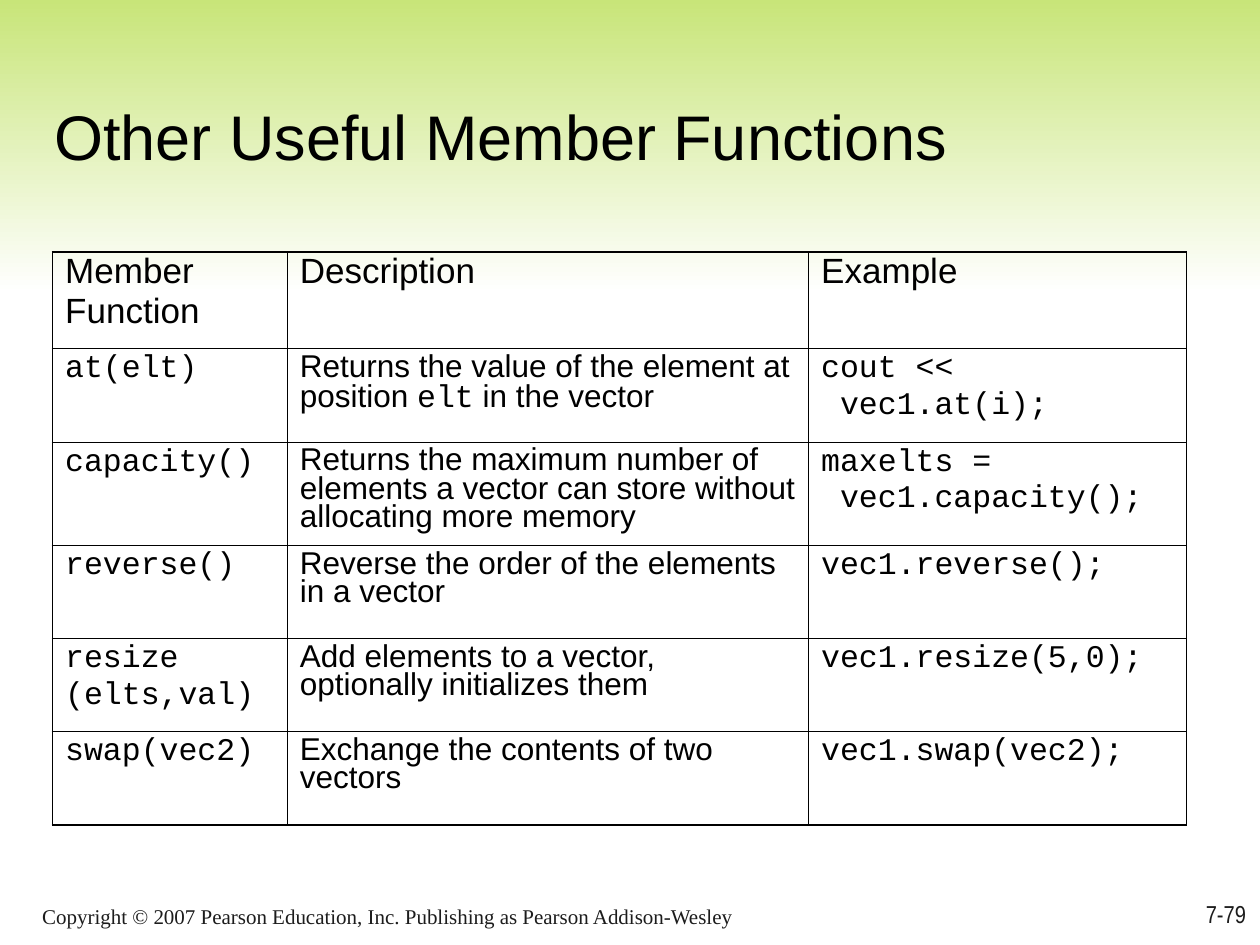
from lxml.etree import SubElement
from pptx import Presentation
from pptx.dml.color import RGBColor
from pptx.enum.shapes import MSO_SHAPE
from pptx.enum.text import MSO_ANCHOR, MSO_AUTO_SIZE, PP_ALIGN
from pptx.oxml.ns import qn
from pptx.util import Cm, Pt

HUES = {"lime": "C8E579", "white": "FFFFFF", "black": "000000", "gray": "1C1C1C"}
SANS, MONO = "Arial", "Courier New"
THIN, THICK = 0.45, 1.08

HEADS = ["Member\nFunction", "Description", "Example"]
# Backticks mark code inside a description
ROWS = [
    ["at(elt)", "Returns the value of the element at position `elt` in the vector",
     "cout <<\n vec1.at(i);"],
    ["capacity()", "Returns the maximum number of elements a vector can store "
     "without allocating more memory", "maxelts =\n vec1.capacity();"],
    ["reverse()", "Reverse the order of the elements in a vector", "vec1.reverse();"],
    ["resize\n(elts,val)", "Add elements to a vector, optionally initializes them",
     "vec1.resize(5,0);"],
    ["swap(vec2)", "Exchange the contents of two vectors", "vec1.swap(vec2);"],
]
WIDTHS = [4.73, 10.51, 7.62]
HEIGHTS = [1.95, 1.88, 2.08, 1.88, 1.88, 1.88]


def tint(hue):
    return RGBColor.from_string(HUES[hue])


def style(run, face, size, hue="black"):
    run.font.name = face
    run.font.size = Pt(size)
    run.font.color.rgb = tint(hue)


def add_band(slide, box):
    band = slide.shapes.add_shape(MSO_SHAPE.RECTANGLE, *map(Cm, box))
    band.shadow.inherit = False
    band.line.fill.background()
    band.fill.gradient()
    band.fill.gradient_angle = 270
    for stop, hue, pos in zip(band.fill.gradient_stops, ("lime", "white"), (0, 1)):
        stop.color.rgb = tint(hue)
        stop.position = pos
    # The band lies behind the title
    slide.shapes.title.element.addprevious(band.element)


def add_title(slide, box, text):
    title = slide.shapes.title
    title.left, title.top, title.width, title.height = map(Cm, box)
    frame = title.text_frame
    frame.text = text
    frame.auto_size = MSO_AUTO_SIZE.NONE
    frame.vertical_anchor = MSO_ANCHOR.BOTTOM
    para = frame.paragraphs[0]
    para.alignment = PP_ALIGN.LEFT
    style(para.runs[0], SANS, 36)


def add_note(slide, box, text, face, size, align):
    frame = slide.shapes.add_textbox(*map(Cm, box)).text_frame
    frame.word_wrap = True
    frame.vertical_anchor = MSO_ANCHOR.BOTTOM
    frame.text = text
    para = frame.paragraphs[0]
    para.alignment = align
    style(para.runs[0], face, size, "gray")


def set_edge(cell, side, width):
    props = cell._tc.get_or_add_tcPr()
    line = SubElement(props, qn("a:ln" + side), w=str(Pt(width)))
    fill = SubElement(line, qn("a:solidFill"))
    SubElement(fill, qn("a:srgbClr"), val=HUES["black"])


def fill_cell(cell, text, face, size):
    cell.text_frame.text = text.replace("`", "")
    for num, (para, line) in enumerate(zip(cell.text_frame.paragraphs, text.split("\n"))):
        para.line_spacing = 0.8
        para.space_before = Pt(size / 4 if num else 0)
        parts = line.split("`")
        para.runs[0].text = parts[0]
        for part in parts[1:]:
            para.add_run().text = part
        for pos, run in enumerate(para.runs):
            style(run, MONO if pos % 2 else face, size)


def add_grid(slide, box):
    rows = [HEADS] + ROWS
    last, end = len(rows) - 1, len(HEADS) - 1
    grid = slide.shapes.add_table(len(rows), len(HEADS), *map(Cm, box)).table
    grid.first_row = grid.horz_banding = False
    for col, width in zip(grid.columns, WIDTHS):
        col.width = Cm(width)
    for row, height in zip(grid.rows, HEIGHTS):
        row.height = Cm(height)
    for r, texts in enumerate(rows):
        for c, text in enumerate(texts):
            cell = grid.cell(r, c)
            face = SANS if r == 0 or c == 1 else MONO
            fill_cell(cell, text, face, 20 if r == 0 else 18)
            # Outer edges are thick, inner ones thin
            outer = {"L": c == 0, "R": c == end, "T": r == 0, "B": r == last}
            for side, thick in outer.items():
                set_edge(cell, side, THICK if thick else THIN)
            cell.fill.background()


def main():
    deck = Presentation()
    deck.slide_width, deck.slide_height = Cm(25.4), Cm(19.05)
    slide = deck.slides.add_slide(deck.slide_layouts[5])
    add_band(slide, (0, 0, 25.4, 5.92))
    add_title(slide, (0.84, 0.84, 21.51, 2.77), "Other Useful Member Functions")
    add_grid(slide, (1.06, 5.08, sum(WIDTHS), sum(HEIGHTS)))
    # Footer
    add_note(slide, (20.09, 17.58, 5.28, 1.27), "7-79", "Arial Narrow", 14,
             PP_ALIGN.RIGHT)
    add_note(slide, (0.6, 17.78, 15.04, 1.07),
             "Copyright © 2007 Pearson Education, Inc. Publishing as Pearson Addison-Wesley",
             "Times New Roman", 12, PP_ALIGN.LEFT)
    deck.save("out.pptx")


if __name__ == "__main__":
    main()
